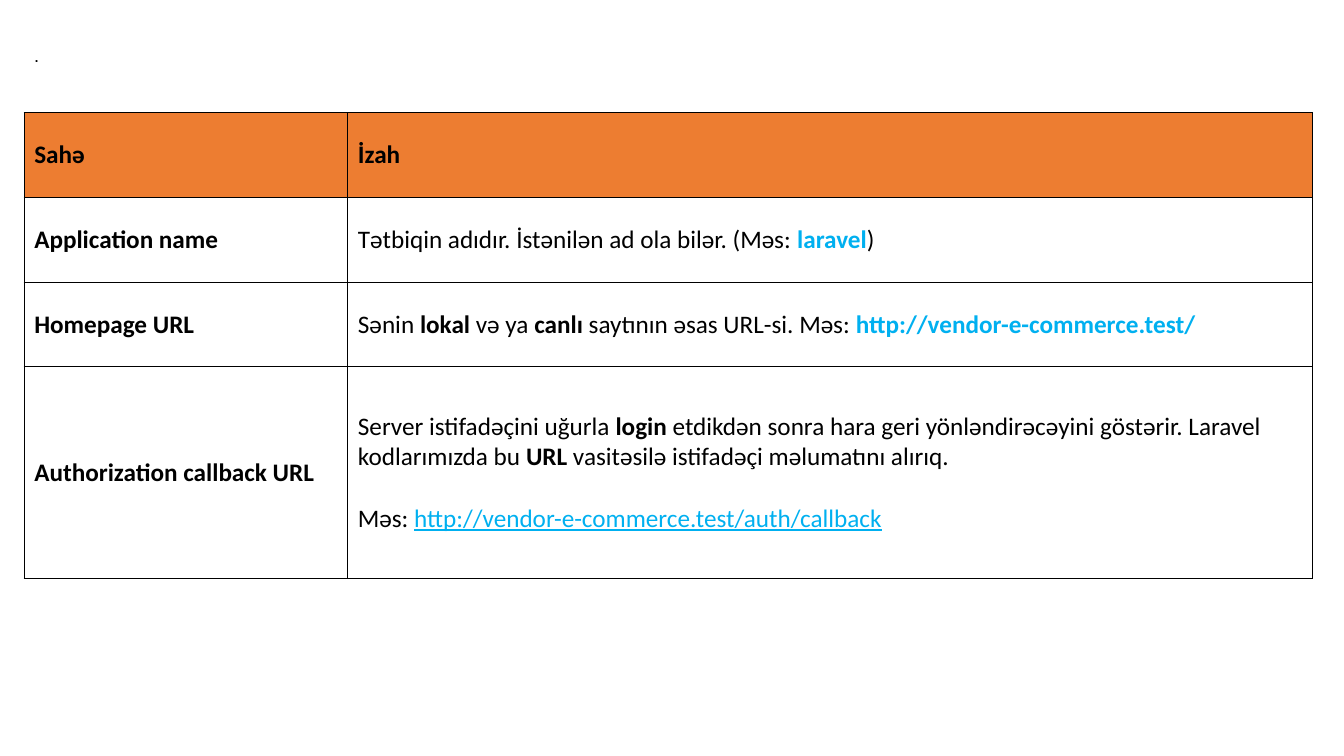
from pptx import Presentation
from pptx import util as u
from pptx.dml.color import RGBColor
from pptx.enum import text
from pptx.oxml import parse_xml
from pptx.oxml.ns import nsdecls

BLACK, ORANGE, BLUE, WHITE = "000000", "ED7D31", "00B0F0", "FFFFFF"


def add_run(p, content, size=18, font="Calibri", color=BLACK, bold=False, underline=None):
    r = p.add_run()
    r.text = content
    f = r.font
    f.size, f.name, f.bold, f.underline = u.Pt(size), font, bold, underline
    f.color.rgb = RGBColor.from_string(color)


def add_borders(cell, color=BLACK, width=1):
    """Put the four sides ahead of the cell's fill, as the schema asks."""
    props = cell._tc.get_or_add_tcPr()
    for i, side in enumerate(("lnL", "lnR", "lnT", "lnB")):
        props.insert(i, parse_xml(
            f'<a:{side} {nsdecls("a")} w="{u.Pt(width)}"><a:solidFill>'
            f'<a:srgbClr val="{color}"/></a:solidFill></a:{side}>'))


prs = Presentation()
prs.slide_width, prs.slide_height = u.Inches(13.33), u.Inches(7.5)
s = prs.slides.add_slide(prs.slide_layouts[6])
left = u.Inches(0.24)

intro = s.shapes.add_textbox(left, u.Inches(0.28), u.Inches(12.86), u.Inches(0.39))
tf = intro.text_frame
tf.word_wrap = True
tf.auto_size = text.MSO_AUTO_SIZE.SHAPE_TO_FIT_TEXT
tf.paragraphs[0].line_spacing = 1.5
add_run(tf.paragraphs[0], ".", size=13, font="Arial")

# Each cell is a list of paragraphs, each paragraph a list of (text, format) runs.
plain, bold = {}, {"bold": True}
example = {"bold": True, "color": BLUE}
link = {"color": BLUE, "underline": True}
rows = [
    ([[("Sahə", bold)]], [[("İzah", bold)]]),
    ([[("Application name", bold)]],
     [[("Tətbiqin adıdır. İstənilən ad ola bilər. (Məs: ", plain),
       ("laravel", example), (")", plain)]]),
    ([[("Homepage URL", bold)]],
     [[("Sənin ", plain), ("lokal", bold), (" və ya ", plain), ("canlı", bold),
       (" saytının əsas URL-si. Məs: ", plain),
       ("http://vendor-e-commerce.test/", example)]]),
    ([[("Authorization callback URL", bold)]],
     [[("Server istifadəçini uğurla ", plain), ("login", bold),
       (" etdikdən sonra hara geri yönləndirəcəyini göstərir. "
        "Laravel kodlarımızda bu ", plain),
       ("URL", bold), (" vasitəsilə istifadəçi məlumatını alırıq.", plain)],
      [("Məs: ", plain), ("http://vendor-e-commerce.test/auth/callback", link)]]),
]
col_widths = [3.21, 9.57]
row_height = 0.84
row_heights = [row_height] * 3 + [2.5 * row_height]

table = s.shapes.add_table(
    len(rows), len(col_widths), left, u.Inches(1.12),
    u.Inches(sum(col_widths)), u.Inches(sum(row_heights))).table
table.horz_banding = False
for column, width in zip(table.columns, col_widths):
    column.width = u.Inches(width)

for i, (cells, height) in enumerate(zip(rows, row_heights)):
    table.rows[i].height = u.Inches(height)
    for j, paragraphs in enumerate(cells):
        cell = table.cell(i, j)
        cell.vertical_anchor = text.MSO_ANCHOR.MIDDLE
        cell.fill.solid()
        cell.fill.fore_color.rgb = RGBColor.from_string(WHITE if i else ORANGE)
        add_borders(cell)
        tf = cell.text_frame
        for k, runs in enumerate(paragraphs):
            p = tf.add_paragraph() if k else tf.paragraphs[0]
            if k:
                p.space_before = u.Pt(22)
            for content, style in runs:
                add_run(p, content, **style)

prs.save("out.pptx")
